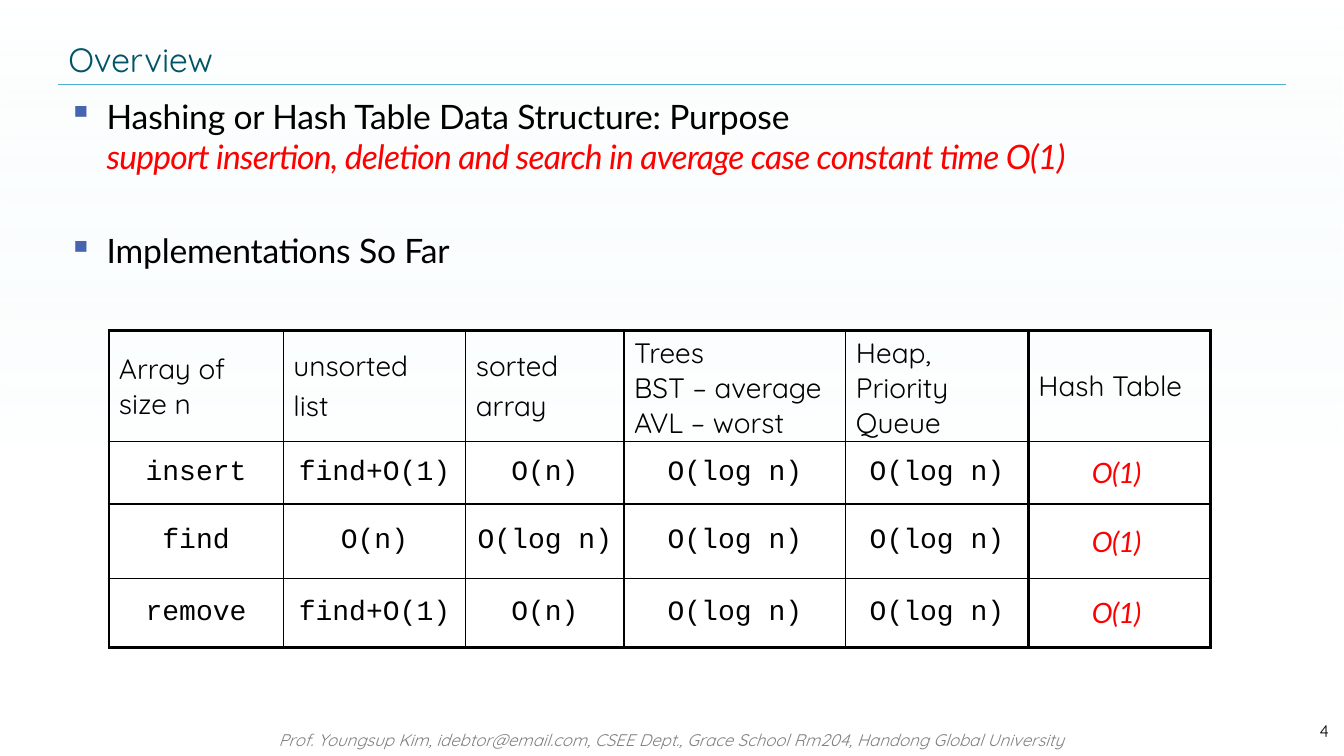
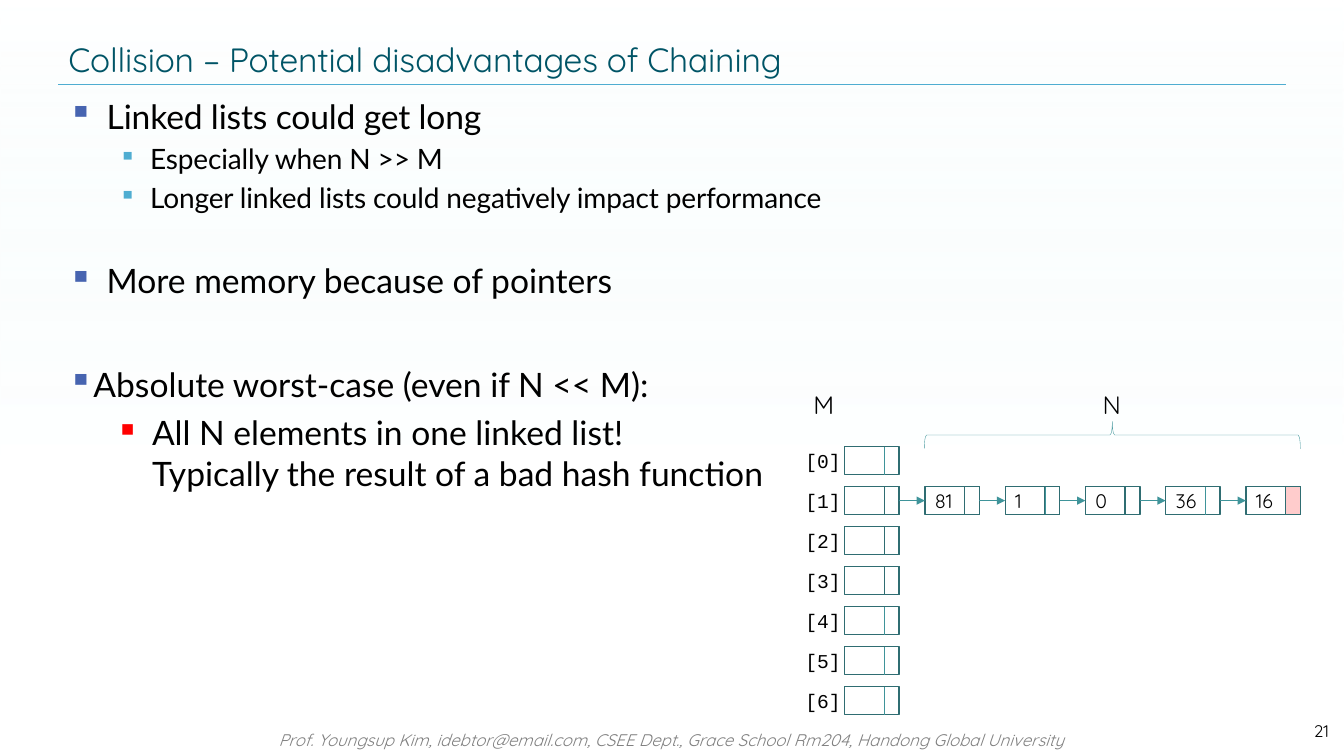
from dataclasses import dataclass, replace

from lxml.etree import SubElement
from pptx import Presentation
from pptx.dml.color import RGBColor as RGB
from pptx.enum.shapes import MSO_CONNECTOR as LINE, MSO_SHAPE as SHAPE
from pptx.enum.text import MSO_ANCHOR as ANCHOR, PP_ALIGN as ALIGN
from pptx.oxml import parse_xml
from pptx.oxml.ns import nsdecls, qn
from pptx.util import Inches, Pt

WIDTH, HEIGHT = Inches(13.33), Inches(7.5)


@dataclass(frozen=True)
class Type:
    """A text style: font, size, colour, slant and letter spacing."""
    font: str
    size: float
    color: str = "000000"
    italic: bool = False
    spacing: float = 0


@dataclass(frozen=True)
class Theme:
    """Colours and type styles of the deck."""
    tint: str = "D9F3F4"
    rule: str = "4FADD1"
    ink: str = "000000"
    frame: str = "2F6D72"
    link: str = "3F949A"
    alert: str = "FF0000"
    bullet: str = "4764B0"
    title: Type = Type("Quicksand", 24, "005466", spacing=-0.1)
    footer: Type = Type("Quicksand", 12, "808080", True)
    number: Type = Type("Quicksand", 12)
    body: Type = Type("Lato", 24, spacing=-0.1)
    sub: Type = Type("Lato", 20, spacing=-0.1)
    stress: Type = Type("Lato", 24, "FF0000", True, -0.55)
    head: Type = Type("Quicksand", 20)
    code: Type = Type("Courier New", 20)
    best: Type = Type("Lato", 20, "FF0000", True, -0.5)
    index: Type = Type("Courier New", 14)
    node: Type = Type("Quicksand", 14)
    count: Type = Type("Quicksand", 18)


@dataclass(frozen=True)
class Bullet:
    """A bulleted paragraph: margin and indent in inches, mark and spacing."""
    left: float
    indent: float
    color: str
    mark: str = "▪"
    scale: int = 100
    leading: float = 1


T = Theme()
TOP = Bullet(0.38, -0.38, T.bullet)
SUB = Bullet(0.81, -0.31, T.rule, scale=85)
CASE = replace(TOP, left=0.01, leading=2.4)
WORST = Bullet(0.83, -0.31, T.alert, "■", 54)

FOOTER = ("Prof. Youngsup Kim, idebtor@email.com, CSEE Dept., "
          "Grace School Rm204, Handong Global University")
BODY = (4.35, 12, 91.35, 82)
COSTS = [
    ["Array of size n ", "unsorted\nlist", "sorted\narray",
     "Trees\vBST – average\vAVL – worst", "Heap,\vPriority Queue", "Hash Table"],
    ["insert", "find+O(1)", "O(n)", "O(log n)", "O(log n)", "O(1) "],
    ["find", "O(n)", "O(log n)", "O(log n)", "O(log n)", "O(1) "],
    ["remove", "find+O(1)", "O(n)", "O(log n)", "O(log n)", "O(1) "],
]
COST_COLUMNS = [12.98, 13.58, 11.78, 16.5, 13.58, 13.58]
COST_ROWS = [11.87, 8.27, 9.87, 9.07]

CHAIN = ["81", "1", "0", "36", "16"]
BUCKETS, CHAINED = 7, 1
BOXED_BUCKETS = (1, 2, 3)
CELL_X, CELL_Y, STEP_X, STEP_Y = 62.85, 59.07, 5.97, 5.29
CELL_W, CELL_H, DIVIDER = 4.05, 3.73, 2.95


def across(share):
    """Turn a percentage of the slide width into a length."""
    return int(WIDTH * share / 100)


def down(share):
    """Turn a percentage of the slide height into a length."""
    return int(HEIGHT * share / 100)


def place(box):
    """Turn left, top, width and height shares into lengths."""
    x, y, w, h = box
    return across(x), down(y), across(w), down(h)


def style(p, kind):
    """Apply a text style to every run of a paragraph."""
    for r in p.runs:
        style_run(r, kind)


def style_run(r, kind):
    """Apply a text style to one run."""
    r.font.name, r.font.size, r.font.italic = kind.font, Pt(kind.size), kind.italic
    r.font.color.rgb = RGB.from_string(kind.color)
    if kind.spacing:
        r.font._element.set("spc", str(round(kind.spacing * 100)))


def text(s, box, words, kind, align=ALIGN.LEFT, anchor=ANCHOR.TOP, wrap=True, inset=None):
    """Add a one-paragraph text box."""
    tf = s.shapes.add_textbox(*place(box)).text_frame
    tf.word_wrap, tf.vertical_anchor = wrap, anchor
    if inset is not None:
        tf.margin_left = tf.margin_right = tf.margin_top = tf.margin_bottom = inset
    p = tf.paragraphs[0]
    p.text, p.alignment = words, align
    style(p, kind)


def shape(s, preset, box, color=None, weight=1):
    """Add an unfilled preset shape with an optional outline."""
    sp = s.shapes.add_shape(preset, *place(box))
    sp.shadow.inherit = False
    sp.fill.background()
    if color:
        sp.line.color.rgb, sp.line.width = RGB.from_string(color), Pt(weight)
    else:
        sp.line.fill.background()
    return sp


def line(s, start, end, color, weight, arrow=False):
    """Add a straight line, optionally with an arrowhead at its end."""
    (x1, y1), (x2, y2) = start, end
    c = s.shapes.add_connector(LINE.STRAIGHT, across(x1), down(y1), across(x2), down(y2))
    c.line.color.rgb, c.line.width = RGB.from_string(color), Pt(weight)
    if arrow:
        SubElement(c.line._get_or_add_ln(), qn("a:tailEnd")).set("type", "triangle")
    SubElement(c._element.spPr, qn("a:effectLst"))


def backdrop(s):
    """Cover the slide with a faint gradient."""
    sp = shape(s, SHAPE.RECTANGLE, (0, 0, 100, 100))
    fill = parse_xml(
        f'<a:gradFill {nsdecls("a")}><a:gsLst>'
        f'<a:gs pos="0"><a:srgbClr val="{T.tint}"><a:alpha val="0"/></a:srgbClr></a:gs>'
        '<a:gs pos="61000"><a:srgbClr val="FFFFFF"><a:alpha val="40000"/></a:srgbClr></a:gs>'
        '</a:gsLst><a:lin ang="5400000" scaled="0"/></a:gradFill>')
    spPr = sp._element.spPr
    spPr.replace(spPr.find(qn("a:noFill")), fill)


def new_slide(prs, title, number):
    """Add a slide with the shared backdrop, title, rule and footer."""
    s = prs.slides.add_slide(prs.slide_layouts[6])
    backdrop(s)
    text(s, (14.85, 95.87, 70.28, 4), FOOTER, T.footer, ALIGN.CENTER)
    line(s, (4.35, 11.2), (95.7, 11.2), T.rule, 0.25)
    text(s, (4.35, 4.53, 91.35, 6.67), title, T.title, anchor=ANCHOR.MIDDLE)
    text(s, (90.83, 94, 8.78, 5.33), str(number), T.number, ALIGN.RIGHT, ANCHOR.MIDDLE)
    return s


def set_bullet(p, bullet):
    """Give a paragraph its indent and bullet mark."""
    pPr = p._p.get_or_add_pPr()
    pPr.set("marL", str(Inches(bullet.left)))
    pPr.set("indent", str(Inches(bullet.indent)))
    SubElement(SubElement(pPr, qn("a:buClr")), qn("a:srgbClr")).set("val", bullet.color)
    SubElement(pPr, qn("a:buSzPct")).set("val", str(bullet.scale * 1000))
    SubElement(pPr, qn("a:buChar")).set("char", bullet.mark)


def bullets(s, items):
    """Add the body list from (words, style, bullet, space before) items."""
    tf = s.shapes.add_textbox(*place(BODY)).text_frame
    tf.word_wrap = True
    for i, (words, kind, bullet, before) in enumerate(items):
        p = tf.add_paragraph() if i else tf.paragraphs[0]
        p.text, p.space_before, p.line_spacing = words, Pt(before), bullet.leading
        style(p, kind)
        set_bullet(p, bullet)
    return tf


def borders(cell, weights):
    """Draw the four borders of a cell with the given weights."""
    tcPr = cell._tc.get_or_add_tcPr()
    for i, (side, weight) in enumerate(zip("LRTB", weights)):
        tcPr.insert(i, parse_xml(
            f'<a:ln{side} {nsdecls("a")} w="{Pt(weight)}"><a:solidFill>'
            f'<a:srgbClr val="{T.ink}"/></a:solidFill></a:ln{side}>'))


def cost_table(s):
    """Add the table of operation costs, with heavy lines round the hash column."""
    rows, cols = len(COST_ROWS), len(COST_COLUMNS)
    box = (8.1, 43.73, sum(COST_COLUMNS), sum(COST_ROWS))
    table = s.shapes.add_table(rows, cols, *place(box)).table
    table.first_row = table.horz_banding = False
    for column, share in zip(table.columns, COST_COLUMNS):
        column.width = across(share)
    for row, share in zip(table.rows, COST_ROWS):
        row.height = down(share)
    across_lines = [2.25 if i in (0, rows) else 1 for i in range(rows + 1)]
    down_lines = [2.25 if i in (0, cols - 1, cols) else 1 for i in range(cols + 1)]
    for i, words in enumerate(COSTS):
        for j, word in enumerate(words):
            cell = table.cell(i, j)
            cell.text_frame.text = word
            cell.vertical_anchor = ANCHOR.MIDDLE
            cell.fill.background()
            borders(cell, down_lines[j:j + 2] + across_lines[i:i + 2])
            kind = T.head if i == 0 else T.best if j == cols - 1 else T.code
            for n, p in enumerate(cell.text_frame.paragraphs):
                p.space_before = Pt(4 if n else 0)
                p.alignment = ALIGN.CENTER if i else ALIGN.LEFT
                style(p, kind)


def list_cell(s, column, row, value="", boxed=True, last=False):
    """Add a list cell: a value field and a pointer field."""
    x, y = CELL_X + column * STEP_X, CELL_Y + row * STEP_Y
    sp = shape(s, SHAPE.RECTANGLE, (x, y, CELL_W, CELL_H), T.frame)
    if value:
        tf = sp.text_frame
        tf.text, tf.vertical_anchor = value, ANCHOR.MIDDLE
        tf.paragraphs[0].alignment = ALIGN.LEFT
        style(tf.paragraphs[0], T.node)
    line(s, (x + DIVIDER, y), (x + DIVIDER, y + CELL_H), T.link, 1)
    if boxed:
        field = shape(s, SHAPE.RECTANGLE, (x + DIVIDER, y, CELL_W - DIVIDER, CELL_H), T.frame)
        if last:
            field.fill.solid()
            field.fill.fore_color.rgb = RGB.from_string(T.alert)
            tone = field._element.spPr.find(qn("a:solidFill"))[0]
            SubElement(tone, qn("a:alpha")).set("val", "20000")


def chaining(s):
    """Draw the buckets and the one long chain."""
    for row in range(BUCKETS):
        top = CELL_Y + row * STEP_Y
        text(s, (58.95, top + 0.27, 4.58, 3.2), f"[{row}]", T.index,
             ALIGN.CENTER, ANCHOR.MIDDLE, inset=0)
        list_cell(s, 0, row, boxed=row in BOXED_BUCKETS)
    middle = CELL_Y + CHAINED * STEP_Y + CELL_H / 2
    for column, value in enumerate(CHAIN, 1):
        list_cell(s, column, CHAINED, value, value != "36", column == len(CHAIN))
        x = CELL_X + column * STEP_X
        line(s, (x - STEP_X + CELL_W, middle), (x, middle), T.link, 0.25, arrow=True)
    text(s, (59.78, 50.8, 3.23, 5.33), "M", T.count, wrap=False)
    text(s, (81.3, 50.8, 2.93, 5.33), "N", T.count, wrap=False)
    brace = shape(s, SHAPE.RIGHT_BRACE, (81.75, 32.67, 2.03, 49.73), T.link, 0.25)
    brace.rotation = 270


def overview(prs):
    """Build the overview slide."""
    s = new_slide(prs, "Overview", 4)
    tf = bullets(s, [
        ("Hashing or Hash Table Data Structure: Purpose\vsupport insertion, deletion "
         "and search in average case constant time O(1) ", T.body, TOP, 0),
        ("Implementations So Far", T.body, TOP, 38.4),
    ])
    style_run(tf.paragraphs[0].runs[1], T.stress)
    cost_table(s)


def collision(prs):
    """Build the slide on the drawbacks of chaining."""
    s = new_slide(prs, "Collision – Potential disadvantages of Chaining", 21)
    plain = replace(T.body, spacing=0)
    bullets(s, [
        ("Linked lists could get long", T.body, TOP, 0),
        ("Especially when N >> M", T.sub, SUB, 4),
        ("Longer linked lists could negatively impact performance", T.sub, SUB, 4),
        ("More memory because of pointers", plain, TOP, 32.8),
        ("Absolute worst-case (even if N << M):", plain, CASE, 4.8),
        ("All N elements in one linked list!\vTypically the result of a bad hash function",
         plain, WORST, 5.8),
    ])
    chaining(s)


def main():
    """Build and save the deck."""
    prs = Presentation()
    prs.slide_width, prs.slide_height = WIDTH, HEIGHT
    overview(prs)
    collision(prs)
    prs.save("out.pptx")


main()
